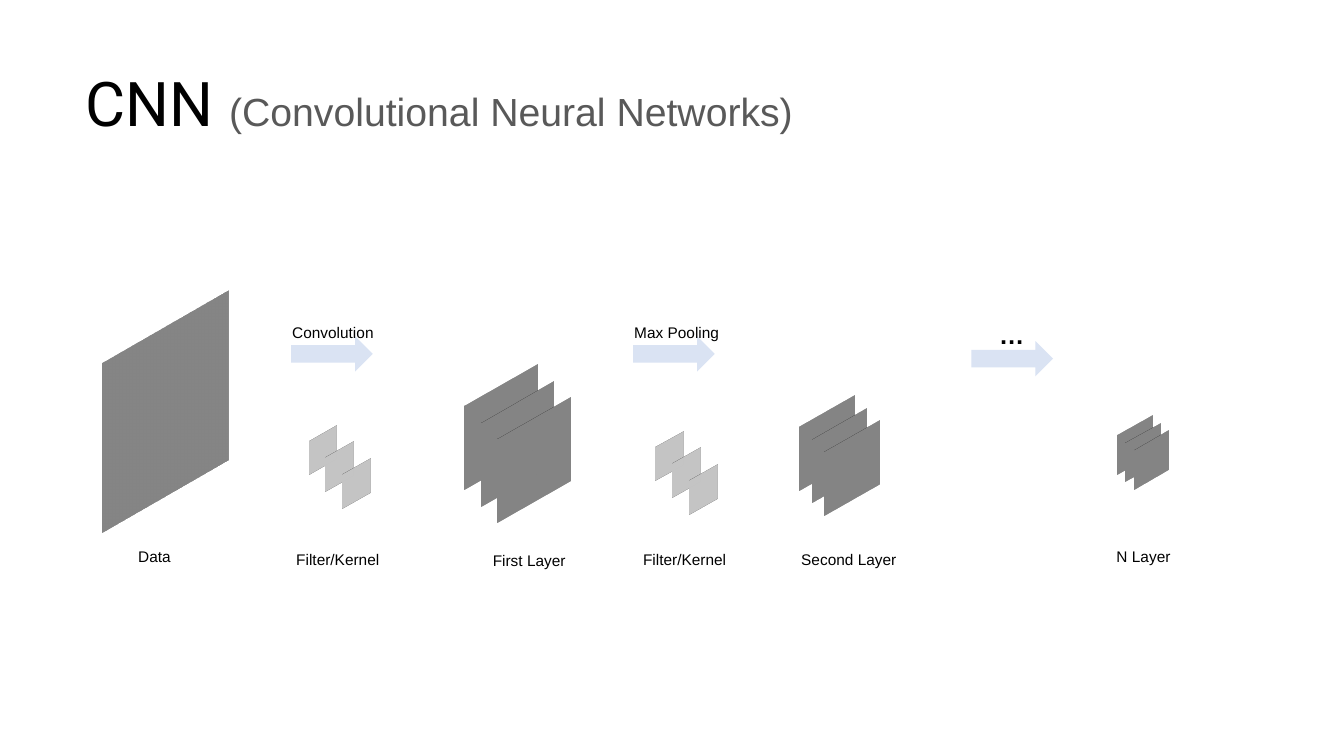
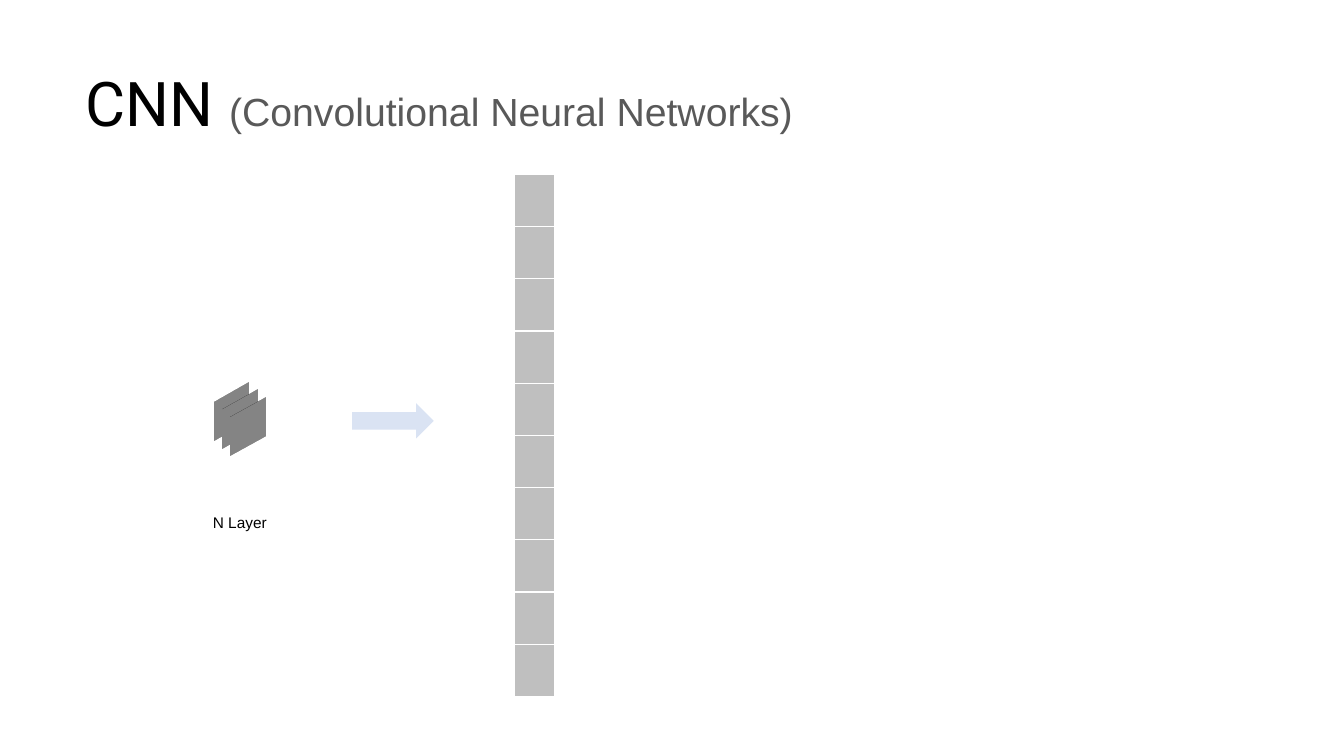
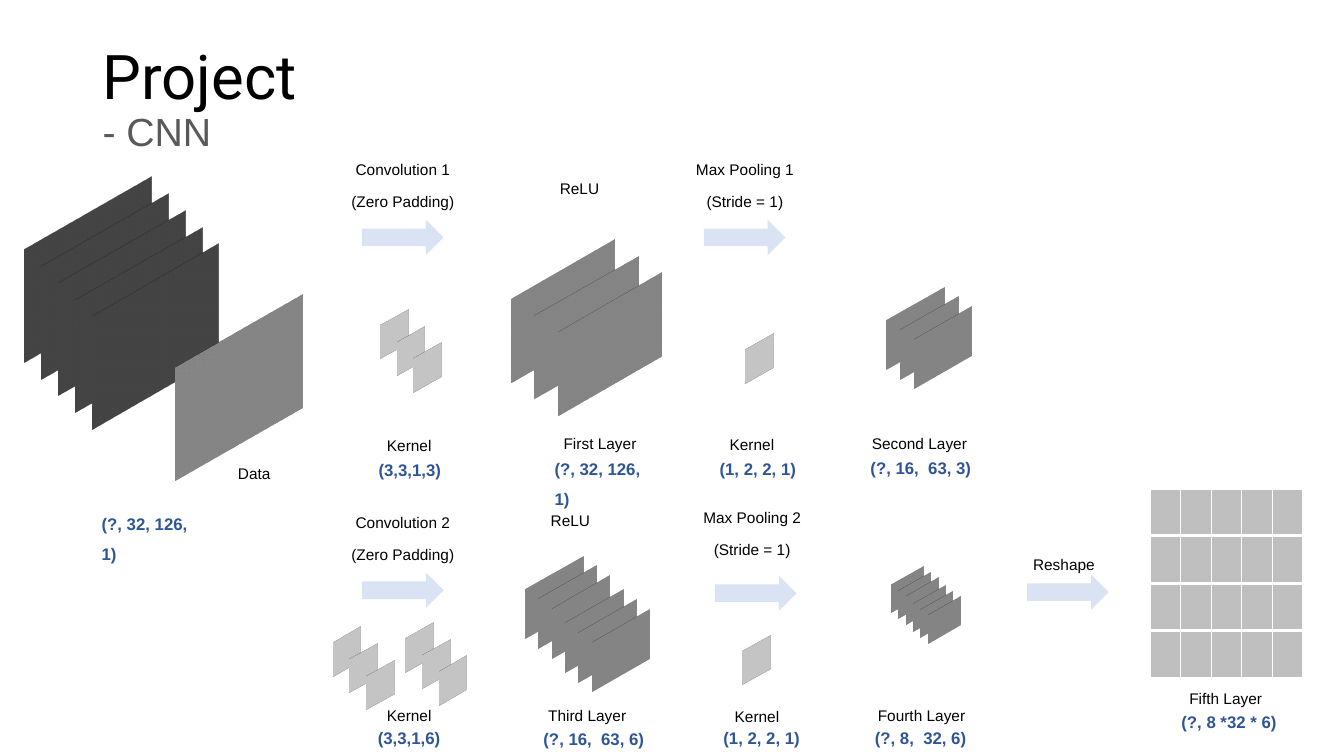
from dataclasses import dataclass
from itertools import product

from lxml import etree
from pptx import Presentation
from pptx.dml.color import RGBColor
from pptx.enum import shapes, text
from pptx.oxml import ns
from pptx.slide import Slide
from pptx.util import Pt

BLACK = RGBColor(0x00, 0x00, 0x00)
SUBTITLE_GREY = RGBColor(0x59, 0x59, 0x59)
MAP_GREY = RGBColor(0x80, 0x80, 0x80)
KERNEL_GREY = RGBColor(0xBF, 0xBF, 0xBF)
INPUT_GREY = RGBColor(0x40, 0x40, 0x40)
EDGE_GREY = RGBColor(0xA6, 0xA6, 0xA6)
ARROW_BLUE = RGBColor(0xDA, 0xE3, 0xF3)
SIZE_BLUE = RGBColor(0x2F, 0x55, 0x97)

BODY_FONT = "Arial"
TITLE_FONT = "Roboto"
ARROW_WIDTH, ARROW_HEIGHT = 58.3, 25.2
LABEL_HEIGHT = 31
NARROW, MEDIUM, STEP_WIDTH, WIDE = 71.3, 87.1, 108, 123.8


@dataclass(frozen=True)
class Stack:
    left: float
    top: float
    width: float
    height: float
    count: int = 1
    step_x: float = 0
    step_y: float = 0
    fill: RGBColor = MAP_GREY


@dataclass(frozen=True)
class Label:
    left: float
    top: float
    width: float
    lines: tuple[str, ...]
    size: float = 11
    color: RGBColor = BLACK
    bold: bool = False
    centered: bool = False
    spacing: float | None = 1.5


@dataclass(frozen=True)
class Arrow:
    left: float
    top: float


@dataclass(frozen=True)
class Grid:
    left: float
    top: float
    rows: int
    columns: int
    cell_width: float
    cell_height: float


def kernels(left: float, top: float, count: int = 3) -> Stack:
    return Stack(left, top, 28.1, 29.5, count, 12, 12, KERNEL_GREY)


def n_layer(left: float, top: float) -> Stack:
    return Stack(left, top, 34.6, 33.8, 3, 5.8, 5.4)


def step_label(left: float, top: float, width: float, *lines: str) -> Label:
    return Label(left, top, width, lines, centered=True, spacing=None)


def size_label(left: float, top: float, size: str) -> Label:
    return Label(left, top, MEDIUM, (size,), 12, SIZE_BLUE, True)


def add_run(paragraph, words: str, font: str, size: float, color: RGBColor, bold: bool = False) -> None:
    run = paragraph.add_run()
    run.text = words
    run.font.name = font
    run.font.size = Pt(size)
    run.font.color.rgb = color
    run.font.bold = bold


def draw_title(slide: Slide, left: float, top: float, heading: str, subtitle: str, stacked: bool) -> None:
    title = slide.shapes.add_textbox(Pt(left), Pt(top), Pt(828), Pt(104.4))
    title.text_frame.word_wrap = True
    title.text_frame.vertical_anchor = text.MSO_ANCHOR.MIDDLE
    paragraph = title.text_frame.paragraphs[0]
    paragraph.line_spacing = 0.9
    add_run(paragraph, heading, TITLE_FONT, 44, BLACK)
    if stacked:
        paragraph.add_line_break()
    add_run(paragraph, subtitle, BODY_FONT, 28, SUBTITLE_GREY)


def draw_label(slide: Slide, label: Label) -> None:
    caption = slide.shapes.add_textbox(Pt(label.left), Pt(label.top), Pt(label.width), Pt(LABEL_HEIGHT))
    frame = caption.text_frame
    frame.word_wrap = True
    for index, words in enumerate(label.lines):
        paragraph = frame.add_paragraph() if index else frame.paragraphs[0]
        paragraph.space_before = Pt(10)
        paragraph.line_spacing = label.spacing
        if label.centered:
            paragraph.alignment = text.PP_ALIGN.CENTER
        add_run(paragraph, words, BODY_FONT, label.size, label.color, label.bold)


def tilt(sheet) -> None:
    scene = etree.SubElement(sheet._element.spPr, ns.qn("a:scene3d"))
    etree.SubElement(scene, ns.qn("a:camera"), prst="isometricRightUp")
    etree.SubElement(scene, ns.qn("a:lightRig"), rig="threePt", dir="t")


def draw_stack(slide: Slide, stack: Stack) -> None:
    for index in range(stack.count):
        sheet = slide.shapes.add_shape(
            shapes.MSO_SHAPE.RECTANGLE,
            Pt(stack.left + index * stack.step_x),
            Pt(stack.top + index * stack.step_y),
            Pt(stack.width),
            Pt(stack.height),
        )
        sheet.shadow.inherit = False
        sheet.fill.solid()
        sheet.fill.fore_color.rgb = stack.fill
        sheet.line.color.rgb = EDGE_GREY
        sheet.line.width = Pt(1)
        tilt(sheet)


def draw_arrow(slide: Slide, arrow: Arrow) -> None:
    step = slide.shapes.add_shape(
        shapes.MSO_SHAPE.RIGHT_ARROW, Pt(arrow.left), Pt(arrow.top), Pt(ARROW_WIDTH), Pt(ARROW_HEIGHT)
    )
    step.shadow.inherit = False
    step.fill.solid()
    step.fill.fore_color.rgb = ARROW_BLUE
    step.line.fill.background()


def add_white_borders(cell) -> None:
    properties = cell._tc.get_or_add_tcPr()
    for position, side in enumerate(("a:lnL", "a:lnR", "a:lnT", "a:lnB")):
        border = etree.Element(ns.qn(side), w=str(Pt(1)))
        fill = etree.SubElement(border, ns.qn("a:solidFill"))
        etree.SubElement(fill, ns.qn("a:srgbClr"), val="FFFFFF")
        properties.insert(position, border)


def draw_grid(slide: Slide, grid: Grid) -> None:
    width, height = grid.columns * grid.cell_width, grid.rows * grid.cell_height
    vector = slide.shapes.add_table(
        grid.rows, grid.columns, Pt(grid.left), Pt(grid.top), Pt(width), Pt(height)
    ).table
    vector.first_row = False
    vector.horz_banding = False
    for column in vector.columns:
        column.width = Pt(grid.cell_width)
    for row in vector.rows:
        row.height = Pt(grid.cell_height)
    for row, column in product(range(grid.rows), range(grid.columns)):
        cell = vector.cell(row, column)
        cell.fill.solid()
        cell.fill.fore_color.rgb = KERNEL_GREY
        add_white_borders(cell)


DRAWERS = {Stack: draw_stack, Label: draw_label, Arrow: draw_arrow, Grid: draw_grid}

NETWORK = (
    Stack(54.3, 220.3, 128, 147.6),
    Label(91.6, 380.5, NARROW, ("Data",)),
    Arrow(208, 240.2),
    Label(201.6, 220.6, STEP_WIDTH, ("Convolution",)),
    kernels(216.7, 306.7),
    Label(204.5, 383, WIDE, ("Filter/Kernel",)),
    Stack(321.1, 268.6, 73.4, 72.7, 3, 11.9, 11.9),
    Label(344.9, 383.3, NARROW, ("First Layer",)),
    Arrow(452.2, 240.2),
    Label(445.9, 220.6, WIDE, ("Max Pooling",)),
    kernels(464.4, 311),
    Label(452.2, 383, WIDE, ("Filter/Kernel",)),
    Stack(563, 288.7, 55.4, 55.4, 3, 9, 9),
    Label(565.2, 383, MEDIUM, ("Second Layer",)),
    Arrow(693.9, 243.6),
    Label(706.5, 213.8, WIDE, ("…",), 18, bold=True),
    n_layer(793.4, 301),
    Label(790.4, 380.5, MEDIUM, ("N Layer",)),
)

FLATTENING = (
    n_layer(148.3, 277),
    Label(144.9, 356.7, MEDIUM, ("N Layer",)),
    Arrow(251.5, 288),
    Grid(367.2, 124.6, 10, 1, 28.8, 37.3),
)

PROJECT = (
    Arrow(258.5, 157),
    step_label(233.8, 110.7, STEP_WIDTH, "Convolution 1", "(Zero Padding)"),
    Stack(349.9, 185.8, 104.4, 72.7, 3, 16.9, 11.9),
    kernels(267.6, 223.9),
    Label(514.1, 301, WIDE, ("Kernel",)),
    Arrow(502.7, 157),
    step_label(470.2, 110.7, WIDE, "Max Pooling 1", "(Stride = 1)"),
    kernels(528.5, 241.2, 1),
    Stack(625, 213, 58.3, 43.2, 3, 9.7, 6.9),
    Label(395.5, 300.2, NARROW, ("First Layer",)),
    Label(615.6, 300.2, MEDIUM, ("Second Layer",)),
    Label(842.4, 482.4, MEDIUM, ("Fifth Layer",)),
    Arrow(258.5, 409),
    step_label(233.8, 362.9, STEP_WIDTH, "Convolution 2", "(Zero Padding)"),
    kernels(233.8, 450.5),
    kernels(285.6, 447.6),
    Stack(367, 405.2, 58.3, 43.2, 3, 9.4, 6.9),
    Stack(395.5, 429.3, 58.3, 43.2, 3, 9.4, 6.9),
    Label(384.5, 494.6, MEDIUM, ("Third Layer",)),
    Arrow(510.7, 411.1),
    step_label(475.4, 359.3, WIDE, "Max Pooling 2", "(Stride = 1)"),
    kernels(526.3, 456.7, 1),
    Stack(-0.9, 143.3, 128, 98.6, 5, 12, 12, INPUT_GREY),
    Stack(106.6, 227.5, 128, 98.6),
    Label(162.9, 321.1, NARROW, ("Data",)),
    Stack(632, 409, 32.4, 24.5, 3, 5.2, 4),
    Stack(647.8, 422.6, 32.4, 24.5, 3, 5.2, 4),
    Arrow(733.7, 410.4),
    Label(730.8, 393.1, WIDE, ("Reshape",), spacing=None),
    Label(619.9, 493.9, MEDIUM, ("Fourth Layer",)),
    size_label(65.5, 356.4, "(?, 32, 126, 1)"),
    size_label(263.3, 317.5, "(3,3,1,3)"),
    size_label(389, 316.8, "(?, 32, 126, 1)"),
    size_label(506.9, 316.8, "(1, 2, 2, 1)"),
    size_label(509.6, 509, "(1, 2, 2, 1)"),
    size_label(262.8, 509, "(3,3,1,6)"),
    size_label(381.1, 509.8, "(?, 16,  63, 6)"),
    size_label(614.7, 316.1, "(?, 16,  63, 3)"),
    size_label(617.8, 509, "(?, 8,  32, 6)"),
    size_label(836.8, 497.5, "(?, 8 *32 * 6)"),
    Label(269.3, 301.7, WIDE, ("Kernel",)),
    Label(517.7, 495, WIDE, ("Kernel",)),
    Label(269.3, 494.6, WIDE, ("Kernel",)),
    *(Grid(821.5, 349.6 + 33.9 * row, 1, 5, 21.8, 32.4) for row in range(4)),
    step_label(360, 124.6, STEP_WIDTH, "ReLU"),
    step_label(353.5, 361.4, STEP_WIDTH, "ReLU"),
)

CNN_TITLE = (54.2, 23.9, "CNN ", "(Convolutional Neural Networks)", False)
PROJECT_TITLE = (66.2, 19.5, "Project", "- CNN", True)


def main() -> None:
    deck = Presentation()
    deck.slide_width, deck.slide_height = Pt(960), Pt(540)
    for title, parts in ((CNN_TITLE, NETWORK), (CNN_TITLE, FLATTENING), (PROJECT_TITLE, PROJECT)):
        slide = deck.slides.add_slide(deck.slide_layouts[6])
        draw_title(slide, *title)
        for part in parts:
            DRAWERS[type(part)](slide, part)
    deck.save("out.pptx")


if __name__ == "__main__":
    main()
